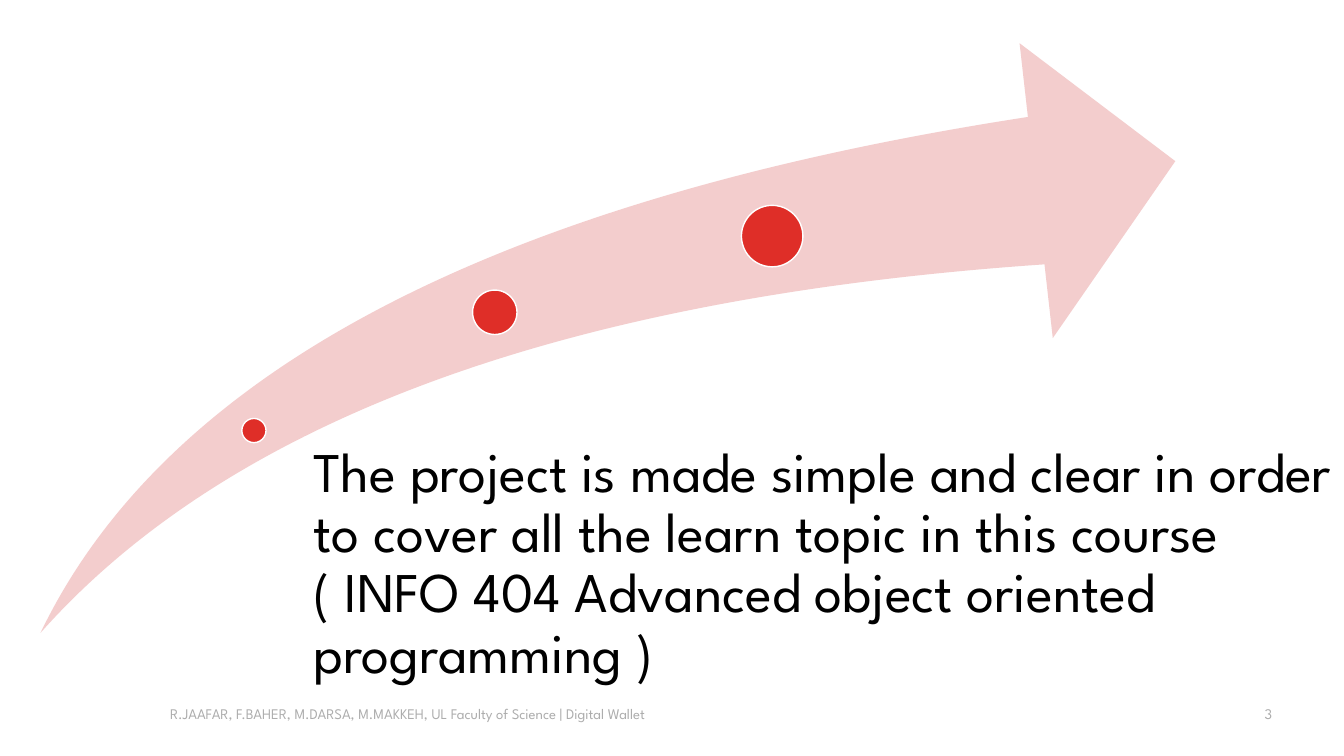
import pptx
import pptx.util
import pptx.dml.color
import pptx.enum.shapes
import pptx.enum.text

Cm = pptx.util.Cm
Pt = pptx.util.Pt
Kind = pptx.enum.shapes.MSO_SHAPE
Align = pptx.enum.text.PP_ALIGN
Anchor = pptx.enum.text.MSO_ANCHOR

FONT = "League Spartan"
HUES = {"arrow": "F3CDCD", "dot": "DF2E28", "rim": "FFFFFF",
        "body": "000000", "foot": "ADADAD", "page": "ABABAB"}
ARROW = (1.02, 1.09, 28.6, 14.86)
DOTS = [(6.4, 10.85, 0.61), (12.47, 7.87, 1.12), (19.46, 5.95, 1.55)]
BODY = ("The project is made simple and clear in order to cover all the learn "
        "topic in this course ( INFO 404 Advanced object oriented programming )")
FOOT = "R.JAAFAR, F.BAHER, M.DARSA, M.MAKKEH, UL Faculty of Science | Digital Wallet"
PAD = (0.25, 0.13, 0.25, 0.13)
TEXTS = [
    (FOOT, (4.04, 17.48, 17.78, 1.02), 10.5, "foot", Align.LEFT, Anchor.MIDDLE, PAD, 1.0),
    ("3", (24.69, 17.48, 7.62, 1.02), 10.5, "page", Align.RIGHT, Anchor.MIDDLE, PAD, 1.0),
    (BODY, (7.39, 11.18, 26.2, 7.34), 40, "body", Align.LEFT, Anchor.TOP, (0.51, 0, 0, 0), 0.9),
]


def hue(name):
    return pptx.dml.color.RGBColor.from_string(HUES[name])


def add_form(slide, kind, box, fill):
    form = slide.shapes.add_shape(kind, *map(Cm, box))
    form.shadow.inherit = False
    form.fill.solid()
    form.fill.fore_color.rgb = hue(fill)
    form.line.fill.background()
    return form


def add_text(slide, words, box, size, color, align, anchor, pad, lead):
    frame = slide.shapes.add_textbox(*map(Cm, box)).text_frame
    frame.word_wrap = True
    frame.vertical_anchor = anchor
    (frame.margin_left, frame.margin_top,
     frame.margin_right, frame.margin_bottom) = map(Cm, pad)
    para = frame.paragraphs[0]
    para.alignment = align
    para.line_spacing = lead
    run = para.add_run()
    run.text = words
    run.font.name = FONT
    run.font.size = Pt(size)
    run.font.color.rgb = hue(color)


def main():
    deck = pptx.Presentation()
    deck.slide_width, deck.slide_height = Cm(33.87), Cm(19.05)
    slide = deck.slides.add_slide(deck.slide_layouts[6])

    arrow = add_form(slide, Kind.SWOOSH_ARROW, ARROW, "arrow")
    arrow.adjustments[0] = 0.25
    arrow.adjustments[1] = 0.25

    for x, y, size in DOTS:
        box = (x - size / 2, y - size / 2, size, size)
        dot = add_form(slide, Kind.OVAL, box, "dot")
        dot.line.color.rgb = hue("rim")
        dot.line.width = Pt(1)

    for item in TEXTS:
        add_text(slide, *item)

    deck.save("out.pptx")


if __name__ == "__main__":
    main()
